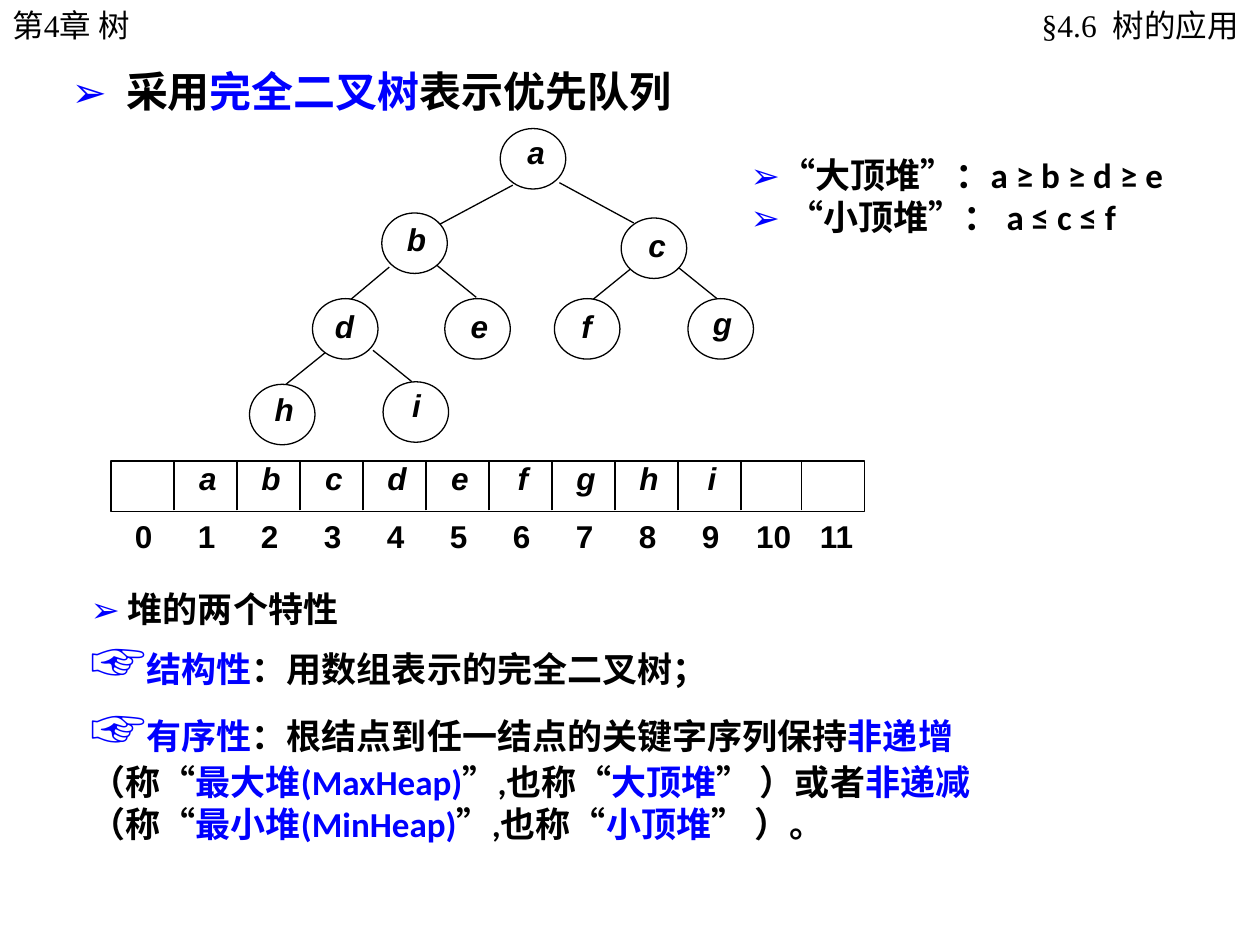
from lxml import etree
from pptx import Presentation
from pptx.dml.color import RGBColor
from pptx.enum.shapes import MSO_CONNECTOR, MSO_SHAPE
from pptx.enum.text import MSO_ANCHOR, PP_ALIGN
from pptx.oxml.ns import qn
from pptx.util import Inches, Pt

BLACK = RGBColor(0x00, 0x00, 0x00)
BLUE = RGBColor(0x00, 0x00, 0xFF)
WHITE = RGBColor(0xFF, 0xFF, 0xFF)

deck = Presentation()
deck.slide_width, deck.slide_height = Inches(10), Inches(7.5)
page = deck.slides.add_slide(deck.slide_layouts[6])
shapes = page.shapes


def fill_text(box, paragraphs, font, bold=True, italic=False, wrap=True):
    """Each paragraph is a list of (text, size, colour) spans."""
    frame = box.text_frame
    frame.word_wrap = wrap
    frame.vertical_anchor = MSO_ANCHOR.TOP
    for number, spans in enumerate(paragraphs):
        para = frame.paragraphs[0] if number == 0 else frame.add_paragraph()
        para.alignment = PP_ALIGN.LEFT
        for text, size, colour in spans:
            span = para.add_run()
            span.text = text
            span.font.name = font
            span.font.size = Pt(size)
            span.font.bold = bold
            span.font.italic = italic
            span.font.color.rgb = colour
    return frame


def add_line(x1, y1, x2, y2):
    line = shapes.add_connector(MSO_CONNECTOR.STRAIGHT, Inches(x1), Inches(y1),
                                Inches(x2), Inches(y2))
    line.line.color.rgb = BLACK
    line.line.width = Pt(0.75)
    etree.SubElement(line._element.spPr, qn("a:effectLst"))


# Page headers
chapter = shapes.add_textbox(0, 0, Inches(2.09), Inches(0.4))
fill_text(chapter, [[("第4章 树", 18, BLACK)]], "Times New Roman", bold=False)
section = shapes.add_textbox(Inches(6.18), 0, Inches(3.81), Inches(0.4))
frame = fill_text(section, [[("§4.6  树的应用", 18, BLACK)]], "Times New Roman", bold=False)
frame.margin_left, frame.margin_right = Inches(0.12), Inches(0.16)
frame.paragraphs[0].alignment = PP_ALIGN.RIGHT

# Title
title = shapes.add_textbox(Inches(0.47), Inches(0.47), Inches(5.39), Inches(0.5))
fill_text(title, [[("➢  ", 24, BLUE), ("采用", 24, BLACK), ("完全二叉树", 24, BLUE),
                   ("表示优先队列", 24, BLACK)]], "Calibri")

# Tree edges, parent to child
edges = [
    (4.07, 1.47, 3.49, 1.78), (4.44, 1.45, 5.03, 1.77),
    (3.09, 2.12, 2.78, 2.38), (3.46, 2.10, 3.78, 2.36),
    (5.01, 2.13, 4.69, 2.39), (5.38, 2.12, 5.69, 2.37),
    (2.58, 2.80, 2.27, 3.05), (2.96, 2.78, 3.27, 3.03),
]
for edge in edges:
    add_line(*edge)

# Tree nodes: letter, circle left and top, label left and top
nodes = [
    ("a", 3.97, 1.02, 4.13, 1.15), ("b", 3.03, 1.69, 3.18, 1.84),
    ("c", 4.93, 1.73, 5.09, 1.89), ("d", 2.48, 2.37, 2.61, 2.53),
    ("e", 3.53, 2.37, 3.68, 2.53), ("f", 4.40, 2.37, 4.53, 2.53),
    ("g", 5.46, 2.37, 5.61, 2.51), ("h", 1.98, 3.05, 2.13, 3.19),
    ("i", 3.04, 3.03, 3.18, 3.16),
]
for letter, left, top, label_left, label_top in nodes:
    circle = shapes.add_shape(MSO_SHAPE.OVAL, Inches(left), Inches(top),
                              Inches(0.52), Inches(0.48))
    circle.shadow.inherit = False
    circle.fill.solid()
    circle.fill.fore_color.rgb = WHITE
    circle.line.color.rgb = BLACK
    circle.line.width = Pt(0.75)

    label = shapes.add_shape(MSO_SHAPE.RECTANGLE, Inches(label_left), Inches(label_top),
                             Inches(0.25), Inches(0.2))
    label.shadow.inherit = False
    label.fill.solid()
    label.fill.fore_color.rgb = WHITE
    label.line.fill.background()
    frame = fill_text(label, [[(letter, 18, BLACK)]], "Arial", italic=True)
    frame.margin_left = frame.margin_right = frame.margin_top = frame.margin_bottom = 0
    frame.paragraphs[0].alignment = PP_ALIGN.CENTER
    frame.paragraphs[0].line_spacing = 0.64

# Array row and index row: entries sit on centred tab stops, one per cell
letters = [node[0] for node in nodes]
indices = [str(index) for index in range(12)]
rows = [
    (letters, 0.88, 3.66, 5.98, 0.4, 0.69, True),
    (indices, 0.86, 4.12, 6.25, 0.33, 0.2, False),
]
for entries, left, top, width, height, first_stop, is_array in rows:
    row = shapes.add_shape(MSO_SHAPE.RECTANGLE, Inches(left), Inches(top),
                           Inches(width), Inches(height))
    row.shadow.inherit = False
    row.fill.solid()
    row.fill.fore_color.rgb = WHITE
    if is_array:
        row.line.color.rgb = BLACK
        row.line.width = Pt(0.75)
    else:
        row.line.fill.background()
    text = "".join("\t" + entry for entry in entries)
    frame = fill_text(row, [[(text, 18, BLACK)]], "Arial", italic=is_array)
    frame.margin_left, frame.margin_right = Inches(0.08), Inches(0.04)
    frame.margin_top = frame.margin_bottom = 0
    para = frame.paragraphs[0]
    para.line_spacing = 0.96
    stops = etree.SubElement(para._p.get_or_add_pPr(), qn("a:tabLst"))
    for column in range(len(entries)):
        stop = etree.SubElement(stops, qn("a:tab"))
        stop.set("pos", str(Inches(first_stop + 0.5 * column)))
        stop.set("algn", "ctr")

# Cell dividers; the last two cells are slightly narrower
for x in [1.38 + 0.5 * column for column in range(10)] + [6.36]:
    add_line(x, 4.05, x, 3.66)

# Heap properties
heading = shapes.add_textbox(Inches(0.62), Inches(4.61), Inches(2.19), Inches(0.44))
fill_text(heading, [[("➢ ", 20, BLUE), ("堆的两个特性", 20, BLACK)]], "Calibri", wrap=False)

properties = shapes.add_textbox(Inches(0.62), Inches(4.92), Inches(7.5), Inches(1.85))
fill_text(properties, [
    [("☞", 32, BLUE), ("结构性", 20, BLUE), ("：用数组表示的完全二叉树；", 20, BLACK)],
    [("☞", 32, BLUE), ("有序性", 20, BLUE),
     ("：根结点到任一结点的关键字序列保持", 20, BLACK), ("非递增", 20, BLUE),
     ("（称“", 20, BLACK), ("最大堆(MaxHeap)", 20, BLUE), ("”,也称“", 20, BLACK),
     ("大顶堆", 20, BLUE), ("” ）或者", 20, BLACK), ("非递减", 20, BLUE),
     ("（称“", 20, BLACK), ("最小堆(MinHeap)", 20, BLUE), ("”,也称“", 20, BLACK),
     ("小顶堆", 20, BLUE), ("” ）。", 20, BLACK)],
], "Calibri")

# Heap order examples
orders = shapes.add_textbox(Inches(5.86), Inches(1.17), Inches(3.75), Inches(0.77))
fill_text(orders, [
    [("➢", 20, BLUE), ("“大顶堆”：a ≥ b ≥ d ≥ e", 20, BLACK)],
    [("➢", 20, BLUE), (" “小顶堆”： a ≤ c ≤ f", 20, BLACK)],
], "Calibri")

deck.save("out.pptx")
